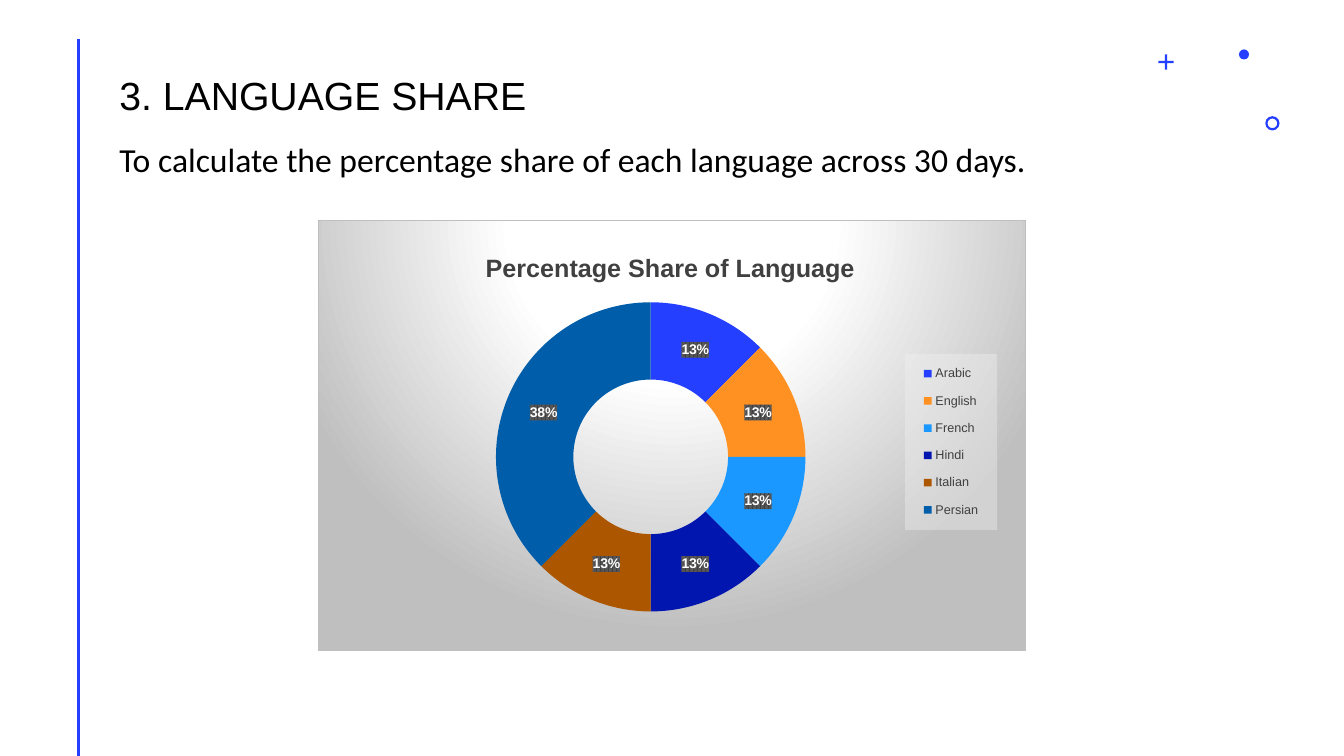
from dataclasses import dataclass

from pptx import Presentation
from pptx.chart.data import CategoryChartData as ChartData
from pptx.dml.color import RGBColor as Rgb
from pptx.enum.chart import XL_CHART_TYPE as Kind, XL_LEGEND_POSITION as Side
from pptx.enum.shapes import MSO_CONNECTOR as Link, MSO_SHAPE as Form
from pptx.enum.text import MSO_AUTO_SIZE as Fit
from pptx.oxml import parse_xml
from pptx.oxml.ns import qn
from pptx.util import Pt

COLORS = {
    "blue": "243FFF", "orange": "FF9022", "sky": "1A98FF", "navy": "0016AF",
    "brown": "AD5600", "teal": "005DA9", "black": "000000", "white": "FFFFFF",
    "dark": "404040", "slate": "595959", "pale": "F2F2F2", "gray": "BFBFBF",
}
NS = ('xmlns:c="http://schemas.openxmlformats.org/drawingml/2006/chart" '
      'xmlns:a="http://schemas.openxmlformats.org/drawingml/2006/main"')


@dataclass
class Mark:
    form: Form
    left: float
    top: float
    size: float
    adjust: float | None = None


@dataclass
class Share:
    name: str
    value: int
    color: str


@dataclass
class Line:
    text: str
    size: float
    face: str
    space: float


MARKS = [
    Mark(Form.CROSS, 827.5, 38.9, 10.8, 0.43),
    Mark(Form.DONUT, 903.8, 83, 10.2, 0.16),
    Mark(Form.OVAL, 885, 35.3, 7.2),
]
SHARES = [
    Share("Arabic", 13, "blue"),
    Share("English", 13, "orange"),
    Share("French", 13, "sky"),
    Share("Hindi", 13, "navy"),
    Share("Italian", 13, "brown"),
    Share("Persian", 39, "teal"),
]
LINES = [
    Line("3. LANGUAGE SHARE", 28, "Arial", 1),
    Line("To calculate the percentage share of each language across 30 days.",
         24, "Calibri", 1.5),
]


def color(name: str) -> Rgb:
    return Rgb.from_string(COLORS[name])


def style(font, size: float, name: str, face: str = "Arial", bold: bool = False) -> None:
    font.size, font.name, font.bold = Pt(size), face, bold
    font.color.rgb = color(name)


def add_rule(slide) -> None:
    rule = slide.shapes.add_connector(Link.STRAIGHT, Pt(56.2), Pt(27.7), Pt(56.2), Pt(540))
    rule.line.color.rgb = color("blue")
    rule.line.width = Pt(2)
    rule._element.spPr.append(parse_xml(f"<a:effectLst {NS}/>"))


def add_mark(slide, mark: Mark) -> None:
    shape = slide.shapes.add_shape(
        mark.form, Pt(mark.left), Pt(mark.top), Pt(mark.size), Pt(mark.size))
    shape.shadow.inherit = False
    shape.fill.solid()
    shape.fill.fore_color.rgb = color("blue")
    shape.line.fill.background()
    if mark.adjust is not None:
        shape.adjustments[0] = mark.adjust


def add_text(slide) -> None:
    box = slide.shapes.add_textbox(Pt(78.2), Pt(47.5), Pt(803.5), Pt(80))
    frame = box.text_frame
    frame.word_wrap = True
    frame.auto_size = Fit.SHAPE_TO_FIT_TEXT
    frame.text = "\n".join(line.text for line in LINES)
    for para, line in zip(frame.paragraphs, LINES):
        para.line_spacing = line.space
        style(para.runs[0].font, line.size, "black", line.face)


def place(part, index: int, inner: bool = False, **spots: float) -> None:
    """Give a chart part a fixed place, in fractions of the chart."""
    for old in part.findall(qn("c:layout")):
        part.remove(old)
    target = '<c:layoutTarget val="inner"/>' if inner else ""
    modes = "".join(f'<c:{key}Mode val="edge"/>' for key in "xy")
    sizes = "".join(f'<c:{key} val="{val}"/>' for key, val in spots.items())
    part.insert(index, parse_xml(
        f"<c:layout {NS}><c:manualLayout>{target}{modes}{sizes}"
        "</c:manualLayout></c:layout>"))


def paint(fill: str, line: str = "<a:ln><a:noFill/></a:ln>"):
    """Make the fill and line of a chart part."""
    return parse_xml(f"<c:spPr {NS}>{fill}{line}</c:spPr>")


def tone(name: str, inside: str = "") -> str:
    return f'<a:srgbClr val="{COLORS[name]}">{inside}</a:srgbClr>'


def glow():
    """Make the round gradient and border behind the chart."""
    stops = "".join(f'<a:gs pos="{spot * 1000}">{tone(name)}</a:gs>'
                    for spot, name in ((0, "white"), (39, "white"), (100, "gray")))
    return paint(
        f'<a:gradFill><a:gsLst>{stops}</a:gsLst><a:path path="circle">'
        '<a:fillToRect l="50000" t="-80000" r="50000" b="180000"/></a:path></a:gradFill>',
        f'<a:ln w="{Pt(0.75)}"><a:solidFill>{tone("gray")}</a:solidFill></a:ln>')


def add_chart(slide) -> None:
    data = ChartData()
    data.categories = [share.name for share in SHARES]
    data.add_series("Series 1", [share.value for share in SHARES])
    chart = slide.shapes.add_chart(
        Kind.DOUGHNUT, Pt(227.2), Pt(157.3), Pt(505.6), Pt(307.5), data).chart
    style(chart.font, 10, "black")
    root = chart._chartSpace
    root.chart.addnext(glow())

    chart.has_title = True
    title = chart.chart_title
    title.text_frame.text = "Percentage Share of Language"
    style(title.text_frame.paragraphs[0].runs[0].font, 18, "dark", bold=True)
    place(title._element, 1, x=0.23, y=0.06)
    place(root.chart.plotArea, 0, True, x=0.25, y=0.19, w=0.44, h=0.72)

    chart.has_legend = True
    legend = chart.legend
    legend.position = Side.RIGHT
    legend.include_in_layout = False
    style(legend.font, 9, "dark")
    place(legend._element, 1, x=0.83, y=0.31, w=0.13, h=0.41)
    haze = tone("pale", '<a:alpha val="39000"/>')
    legend._element.find(qn("c:txPr")).addprevious(
        paint(f"<a:solidFill>{haze}</a:solidFill>"))

    plot = chart.plots[0]
    plot.vary_by_categories = True
    ring = plot.series[0]
    for spot, share in enumerate(SHARES):
        point = ring.points[spot].format
        point.fill.solid()
        point.fill.fore_color.rgb = color(share.color)
        point.line.fill.background()
    labels = ring.data_labels
    labels.show_percentage = True
    labels.show_value = False
    labels.number_format = "0%"
    labels.number_format_is_linked = False
    style(labels.font, 10, "white", bold=True)
    labels._element.find(qn("c:txPr")).addprevious(paint(
        f'<a:pattFill prst="pct75"><a:fgClr>{tone("dark")}</a:fgClr>'
        f'<a:bgClr>{tone("slate")}</a:bgClr></a:pattFill>'))


def main() -> None:
    deck = Presentation()
    deck.slide_width, deck.slide_height = Pt(960), Pt(540)
    slide = deck.slides.add_slide(deck.slide_layouts[6])
    add_rule(slide)
    for mark in MARKS:
        add_mark(slide, mark)
    add_chart(slide)
    add_text(slide)
    deck.save("out.pptx")


if __name__ == "__main__":
    main()
